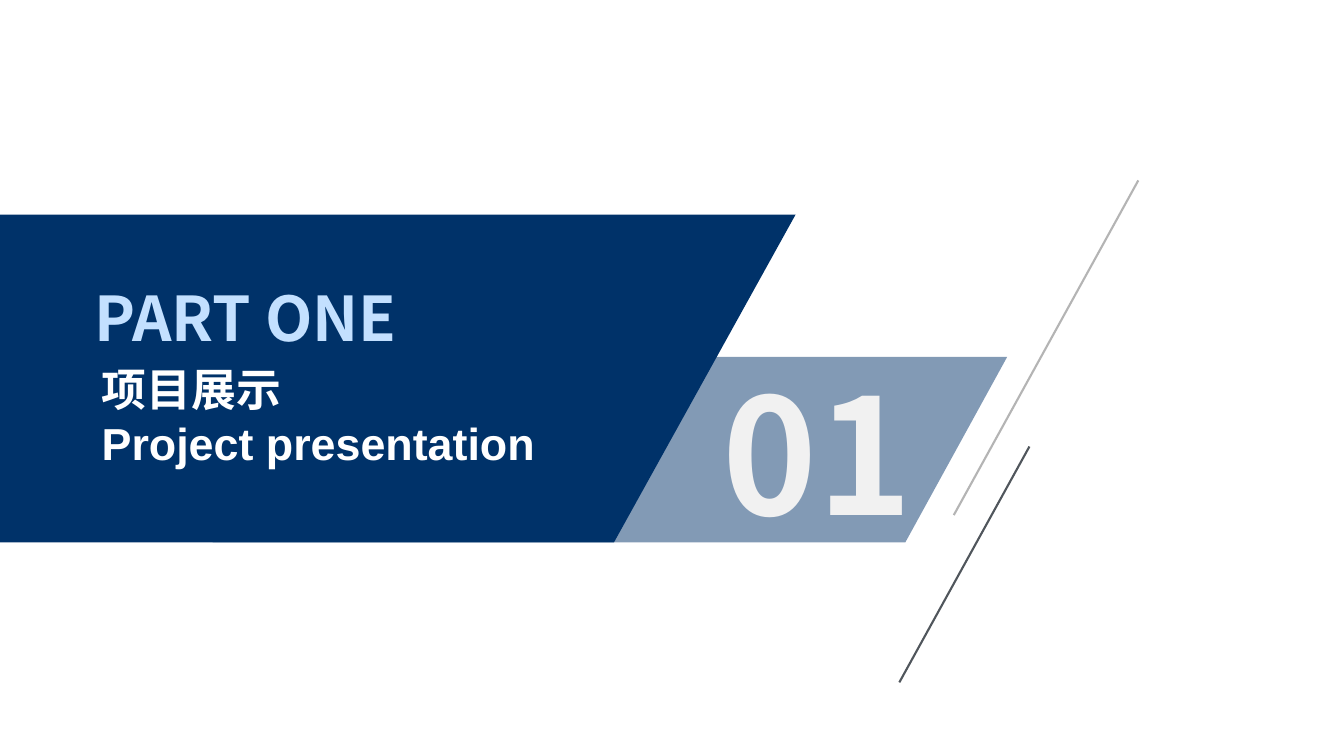
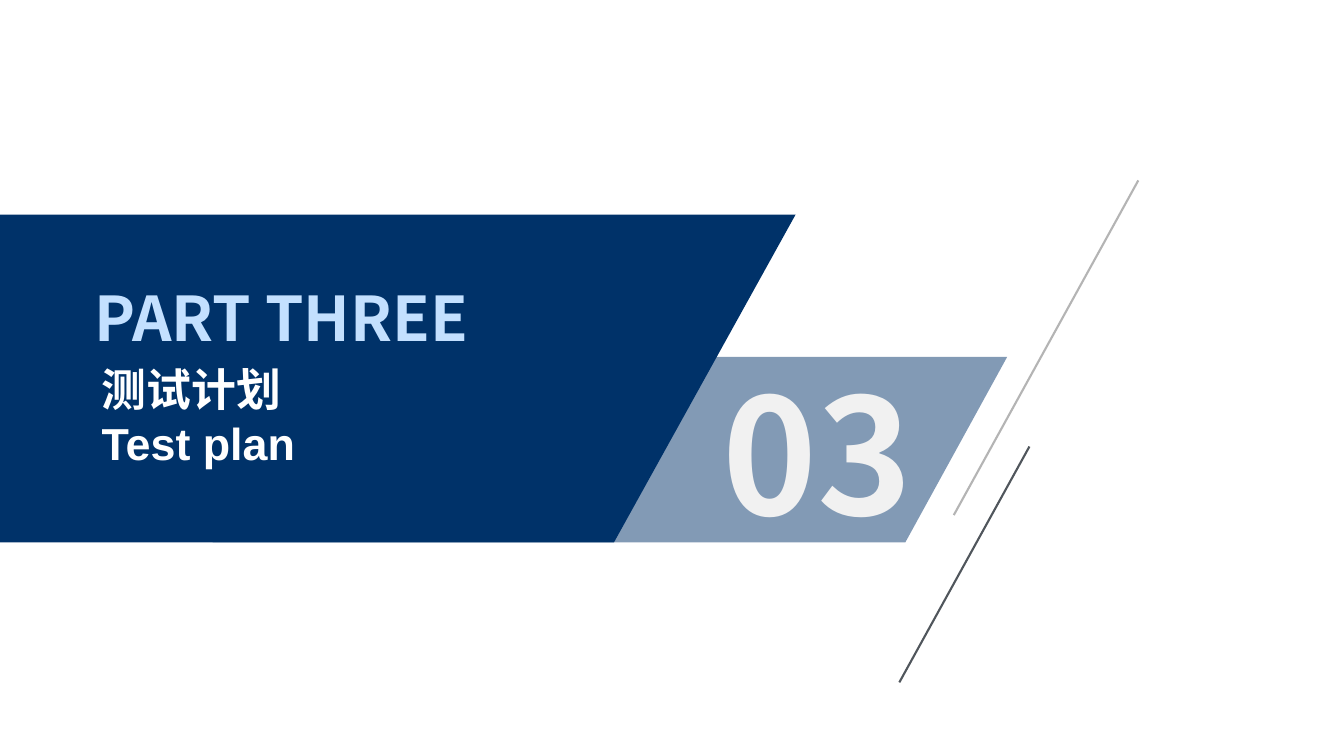
from lxml.etree import SubElement
from pptx import Presentation
from pptx.dml.color import RGBColor
from pptx.enum.shapes import MSO_CONNECTOR
from pptx.enum.text import MSO_ANCHOR, MSO_AUTO_SIZE, PP_ALIGN
from pptx.oxml.ns import qn
from pptx.util import Pt

PX = 9144  # EMU per px, 100 px to the inch
NAVY, PALE_BLUE, WHITE, OFF_WHITE = "003269", "C3E0FF", "FFFFFF", "F1F1F1"
DARK_GREY, LIGHT_GREY = "50565C", "B4B4B4"
HEADING_FONT, BODY_FONT = "Noto Sans CJK SC", "Arial"

# Shared artwork, from back to front
NUMBER_BAND = [(211, 354), (999, 354), (898, 538), (211, 538)]
TITLE_BAND = [(0, 213), (789, 213), (609, 538), (0, 538)]
ARTWORK = [
    ("band", NUMBER_BAND, NAVY, 49),
    ("line", [(1021, 443), (892, 677)], DARK_GREY, 100),
    ("band", TITLE_BAND, NAVY, 100),
    ("line", [(1129, 179), (946, 511)], LIGHT_GREY, 100),
]

# Part label, label width, title lines, number
SECTIONS = [
    ("PART ONE", 340, ["项目展示", "Project presentation"], "01"),
    ("PART THREE", 405, ["测试计划", "Test plan"], "03"),
]


def color(value):
    return RGBColor.from_string(value)


def add_text(slide, box, lines, size, font_name, font_color,
             align=PP_ALIGN.LEFT, wrap=True):
    shape = slide.shapes.add_textbox(*[length * PX for length in box])
    frame = shape.text_frame
    frame.word_wrap = wrap
    frame.auto_size = MSO_AUTO_SIZE.SHAPE_TO_FIT_TEXT
    frame.vertical_anchor = MSO_ANCHOR.TOP
    for index, line in enumerate(lines):
        paragraph = frame.add_paragraph() if index else frame.paragraphs[0]
        paragraph.alignment = align
        run = paragraph.add_run()
        run.text = line
        run.font.name = font_name
        run.font.size = Pt(size)
        run.font.bold = True
        run.font.color.rgb = color(font_color)
        east_asian = SubElement(run.font._element, qn("a:ea"))
        east_asian.set("typeface", HEADING_FONT)


presentation = Presentation()
presentation.slide_width = 1333 * PX
presentation.slide_height = 750 * PX

for label, label_width, title_lines, number in SECTIONS:
    slide = presentation.slides.add_slide(presentation.slide_layouts[6])

    # Slanted bands and lines
    for kind, points, art_color, opacity in ARTWORK:
        if kind == "band":
            builder = slide.shapes.build_freeform(*points[0], scale=PX)
            builder.add_line_segments(points[1:], close=True)
            shape = builder.convert_to_shape()
            shape.shadow.inherit = False
            shape.fill.solid()
            shape.fill.fore_color.rgb = color(art_color)
            shape.line.fill.background()
            if opacity < 100:
                fill_color = shape._element.spPr.find(".//" + qn("a:srgbClr"))
                alpha = SubElement(fill_color, qn("a:alpha"))
                alpha.set("val", str(opacity * 1000))
        else:
            (x1, y1), (x2, y2) = points
            connector = slide.shapes.add_connector(
                MSO_CONNECTOR.STRAIGHT, x1 * PX, y1 * PX, x2 * PX, y2 * PX)
            connector.line.color.rgb = color(art_color)
            connector.line.width = Pt(1.5)
            SubElement(connector._element.spPr, qn("a:effectLst"))

    # Part label, title and number
    add_text(slide, (84, 273, label_width, 84), [label], 44,
             HEADING_FONT, PALE_BLUE, wrap=False)
    add_text(slide, (91, 354, 495, 118), title_lines, 32, BODY_FONT, WHITE)
    add_text(slide, (694, 347, 234, 204), [number], 115,
             HEADING_FONT, OFF_WHITE, align=PP_ALIGN.CENTER)

presentation.save("out.pptx")
